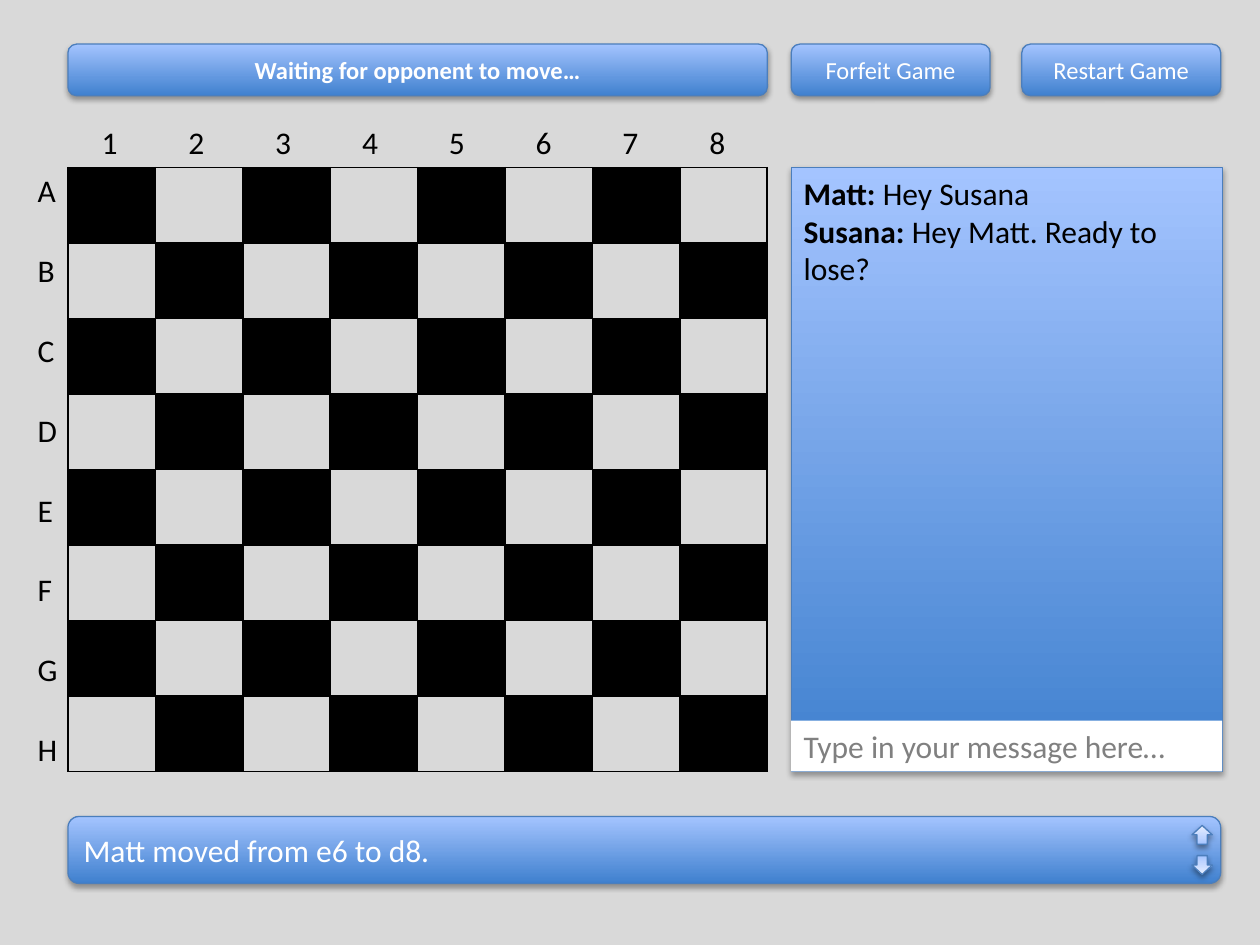
from pptx import Presentation
from pptx.dml.color import RGBColor
from pptx.enum.shapes import MSO_SHAPE as Preset
from pptx.enum.text import MSO_ANCHOR as Anchor, MSO_AUTO_SIZE as AutoSize, PP_ALIGN as Align
from pptx.oxml import parse_xml
from pptx.oxml.ns import nsdecls, qn
from pptx.util import Cm, Pt

COLORS = {
    "background": "D9D9D9", "black": "000000", "white": "FFFFFF",
    "hint": "808080", "outline": "4B7EBC",
}
BLUE = [(0, "3F80CE"), (100, "A4C4FF")]
PALE = [(0, "A4C4FF"), (35, "BFD4FF"), (100, "E6EEFF")]
FONT = "Calibri"

COLUMNS = "12345678"
ROWS = "ABCDEFGH"
CHAT = [("Matt: ", "Hey Susana"), ("Susana: ", "Hey Matt. Ready to lose?")]
HINT = "Type in your message here…"

LEFT, TOP, BOARD_WIDTH, BOARD_HEIGHT = 1.37, 3.38, 14.1, 12.17
CHAT_LEFT, CHAT_WIDTH, HINT_HEIGHT = 15.95, 8.69, 1.02
BUTTON_TOP, BUTTON_HEIGHT, BUTTON_WIDTH = 0.89, 1.04, 4.01
FIRST_DIGIT, DIGIT_PITCH = 0.59, 1.75

BARS = [
    ("Waiting for opponent to move…", (LEFT, BUTTON_TOP, BOARD_WIDTH, BUTTON_HEIGHT), 14, True, Align.CENTER),
    ("Forfeit Game", (CHAT_LEFT, BUTTON_TOP, BUTTON_WIDTH, BUTTON_HEIGHT), 14, False, Align.CENTER),
    ("Restart Game", (20.6, BUTTON_TOP, BUTTON_WIDTH, BUTTON_HEIGHT), 14, False, Align.CENTER),
    ("Matt moved from e6 to d8.", (LEFT, 16.46, 23.24, 1.35), 18, False, Align.LEFT),
]
ARROWS = [(16.64, False), (17.25, True)]


def color(name):
    return RGBColor.from_string(COLORS[name])


def format_paragraph(paragraph, name="black", size=18, bold=None):
    font = paragraph.font
    font.name, font.size, font.bold = FONT, Pt(size), bold
    font.color.rgb = color(name)


def add_glossy(preset, box, stops, alpha=35):
    shape = slide.shapes.add_shape(preset, *map(Cm, box))
    shape.line.color.rgb = color("outline")
    shape.line.width = Pt(0.75)
    shape.shadow.inherit = False
    properties = shape._element.spPr
    stop_xml = "".join(
        f'<a:gs pos="{position * 1000}"><a:srgbClr val="{value}"/></a:gs>' for position, value in stops)
    properties.find(qn("a:prstGeom")).addnext(parse_xml(
        f'<a:gradFill {nsdecls("a")} rotWithShape="1"><a:gsLst>{stop_xml}</a:gsLst>'
        '<a:lin ang="16200000" scaled="0"/></a:gradFill>'))
    properties.find(qn("a:effectLst")).append(parse_xml(
        f'<a:outerShdw {nsdecls("a")} blurRad="{Pt(3.1)}" dist="{Pt(1.8)}" dir="5400000" rotWithShape="0">'
        f'<a:srgbClr val="{COLORS["black"]}"><a:alpha val="{alpha * 1000}"/></a:srgbClr></a:outerShdw>'))
    return shape


def add_text(*box):
    frame = slide.shapes.add_textbox(*map(Cm, box)).text_frame
    frame.word_wrap = True
    frame.auto_size = AutoSize.SHAPE_TO_FIT_TEXT
    return frame


def add_board():
    size = len(ROWS)
    table = slide.shapes.add_table(
        size, size, Cm(LEFT), Cm(TOP), Cm(BOARD_WIDTH), Cm(BOARD_HEIGHT)).table
    table.first_row = table.horz_banding = False
    for index in range(size * size):
        row, column = divmod(index, size)
        cell = table.cell(row, column)
        properties = cell._tc.get_or_add_tcPr()
        for side in ("lnL", "lnR", "lnT", "lnB"):
            properties.append(parse_xml(
                f'<a:{side} {nsdecls("a")} w="{Pt(1)}"><a:solidFill>'
                f'<a:srgbClr val="{COLORS["black"]}"/></a:solidFill></a:{side}>'))
        if (row + column) % 2:
            cell.fill.background()
        else:
            cell.fill.solid()
            cell.fill.fore_color.rgb = color("black")


def add_chat():
    frame = add_text(CHAT_LEFT, TOP, CHAT_WIDTH, 2.57)
    for index, (speaker, message) in enumerate(CHAT):
        paragraph = frame.add_paragraph() if index else frame.paragraphs[0]
        format_paragraph(paragraph)
        for text, bold in ((speaker, True), (message, False)):
            run = paragraph.add_run()
            run.text, run.font.bold = text, bold
    hint = slide.shapes.add_shape(
        Preset.RECTANGLE, Cm(CHAT_LEFT), Cm(TOP + BOARD_HEIGHT - HINT_HEIGHT), Cm(CHAT_WIDTH), Cm(HINT_HEIGHT))
    hint.shadow.inherit = False
    hint.fill.solid()
    hint.fill.fore_color.rgb = color("white")
    hint.line.fill.background()
    hint.text_frame.text = HINT
    hint.text_frame.word_wrap = True
    hint.text_frame.vertical_anchor = Anchor.TOP
    paragraph = hint.text_frame.paragraphs[0]
    paragraph.alignment = Align.LEFT
    format_paragraph(paragraph, "hint")


def add_labels():
    letters = add_text(0.51, 3.33, 1.09, 14.02)
    letters.text = "\n".join(ROWS)
    for paragraph in letters.paragraphs:
        paragraph.space_after = Pt(24)
        format_paragraph(paragraph)
    digits = add_text(LEFT, 2.36, BOARD_WIDTH, 1.02)
    digits.text = "".join("\t" + digit for digit in COLUMNS)
    paragraph = digits.paragraphs[0]
    tabs = "".join(
        f'<a:tab pos="{Cm(FIRST_DIGIT + index * DIGIT_PITCH)}" algn="ctr"/>' for index in range(len(COLUMNS)))
    paragraph._p.get_or_add_pPr().append(parse_xml(f'<a:tabLst {nsdecls("a")}>{tabs}</a:tabLst>'))
    format_paragraph(paragraph)


presentation = Presentation()
presentation.slide_width, presentation.slide_height = Cm(25.4), Cm(19.05)
slide = presentation.slides.add_slide(presentation.slide_layouts[6])
slide.background.fill.solid()
slide.background.fill.fore_color.rgb = color("background")

add_glossy(Preset.RECTANGLE, (CHAT_LEFT, TOP, CHAT_WIDTH, BOARD_HEIGHT), BLUE)
add_board()
add_chat()
add_labels()

for text, box, size, bold, alignment in BARS:
    bar = add_glossy(Preset.ROUNDED_RECTANGLE, box, BLUE)
    bar.text_frame.text = text
    bar.text_frame.word_wrap = True
    bar.text_frame.vertical_anchor = Anchor.MIDDLE
    paragraph = bar.text_frame.paragraphs[0]
    paragraph.alignment = alignment
    format_paragraph(paragraph, "white", size, bold)

for top, flipped in ARROWS:
    arrow = add_glossy(Preset.UP_ARROW, (24.03, top, 0.41, 0.38), PALE, 38)
    if flipped:
        arrow._element.spPr.xfrm.set("flipV", "1")

presentation.save("out.pptx")
